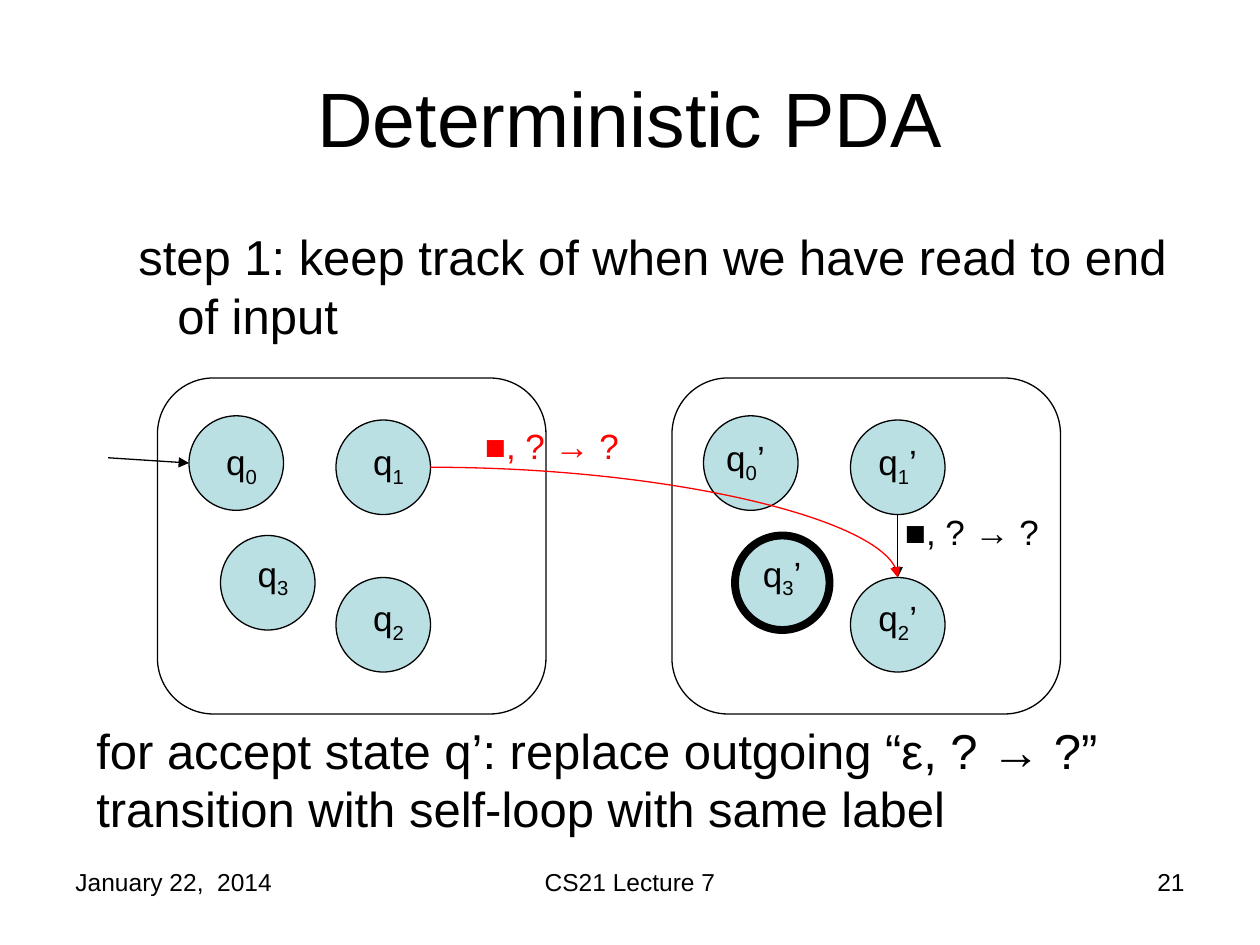
from dataclasses import dataclass

from pptx import Presentation
from pptx.dml.color import RGBColor
from pptx.enum.shapes import MSO_CONNECTOR, MSO_SHAPE
from pptx.enum.text import MSO_ANCHOR, PP_ALIGN
from pptx.oxml.ns import qn
from pptx.oxml.xmlchemy import OxmlElement
from pptx.util import Inches, Pt


@dataclass(frozen=True)
class Theme:
    """Colours, type sizes in points and line widths of the lecture slide."""

    font: str = "Arial"
    ink: str = "000000"
    accent: str = "FF0000"
    state: str = "BBE0E3"
    title: int = 44
    body: int = 28
    label: int = 20
    footer: int = 14
    thin: float = 0.75
    thick: float = 4.5


class Slide:
    """Places elements on a grid of 120 columns by 90 rows."""

    columns, rows = 120, 90

    def __init__(self, deck, theme):
        """Start a blank slide in the given deck."""
        self.theme = theme
        self.slide = deck.slides.add_slide(deck.slide_layouts[6])
        self.column = deck.slide_width / self.columns
        self.row = deck.slide_height / self.rows

    def place(self, left, top, width, height):
        """Turn grid units into lengths."""
        return (round(left * self.column), round(top * self.row),
                round(width * self.column), round(height * self.row))

    def text(self, area, words, size, color=None, align=PP_ALIGN.LEFT,
             anchor=MSO_ANCHOR.TOP, indent=None, spacing=None):
        """Add text; words is a string or (string, is_subscript) pairs."""
        frame = self.slide.shapes.add_textbox(*self.place(*area)).text_frame
        for name, value in {"word_wrap": True, "vertical_anchor": anchor}.items():
            setattr(frame, name, value)
        paragraph = frame.paragraphs[0]
        for name, value in {"alignment": align, "line_spacing": spacing}.items():
            setattr(paragraph, name, value)
        if indent:
            margin, first = indent
            properties = paragraph._p.get_or_add_pPr()
            properties.set("marL", str(Inches(margin)))
            properties.set("indent", str(Inches(first)))
        style = {"name": self.theme.font, "size": Pt(size)}
        for part, subscript in [(words, False)] if isinstance(words, str) else words:
            run = paragraph.add_run()
            run.text = part
            for name, value in style.items():
                setattr(run.font, name, value)
            run.font.color.rgb = RGBColor.from_string(color or self.theme.ink)
            if subscript:
                run._r.get_or_add_rPr().set("baseline", "-25000")

    def outline(self, preset, area, fill=None, weight=None):
        """Add a preset shape with a dark outline."""
        shape = self.slide.shapes.add_shape(preset, *self.place(*area))
        shape.shadow.inherit = False
        if fill:
            shape.fill.solid()
            shape.fill.fore_color.rgb = RGBColor.from_string(fill)
        else:
            shape.fill.background()
        shape.line.color.rgb = RGBColor.from_string(self.theme.ink)
        shape.line.width = Pt(weight or self.theme.thin)

    def state(self, left, top, accepting=False):
        """Add a state circle."""
        weight = self.theme.thick if accepting else self.theme.thin
        self.outline(MSO_SHAPE.OVAL, (left, top, 9, 9), self.theme.state, weight)

    def state_name(self, area, index, mark):
        """Add the name of a state with its subscript."""
        parts = [("q", False), (index, True)] + ([(mark, False)] if mark else [])
        self.text(area, parts, self.theme.label, align=PP_ALIGN.CENTER)

    def arrow(self, start, end, color=None, curved=False):
        """Add a transition arrow, straight or bent through a quarter curve."""
        kind = MSO_CONNECTOR.CURVE if curved else MSO_CONNECTOR.STRAIGHT
        link = self.slide.shapes.add_connector(
            kind, *self.place(*start, *end))
        link.line.color.rgb = RGBColor.from_string(color or self.theme.ink)
        link.line.width = Pt(self.theme.thin)
        head = OxmlElement("a:tailEnd")
        head.set("type", "triangle")
        link.line._get_or_add_ln().append(head)
        properties = link._element.spPr
        properties.append(OxmlElement("a:effectLst"))
        if curved:
            properties.find(qn("a:prstGeom")).set("prst", "curvedConnector2")


def main():
    """Build the slide and save it."""
    deck = Presentation()
    deck.slide_width, deck.slide_height = Inches(10), Inches(7.5)
    theme = Theme()
    page = Slide(deck, theme)

    footers = [(6, 28, "January 22,  2014", PP_ALIGN.LEFT),
               (41, 38, "CS21 Lecture 7", PP_ALIGN.CENTER),
               (86, 28, "21", PP_ALIGN.RIGHT)]
    for left, width, words, align in footers:
        page.text((left, 82, width, 6.2), words, theme.footer, align=align)
    page.text((6, 3.6, 108, 15), "Deterministic PDA", theme.title,
              align=PP_ALIGN.CENTER, anchor=MSO_ANCHOR.MIDDLE)
    page.text((6, 21, 108, 14), "step 1: keep track of when we have read to end of input",
              theme.body, indent=(0.81, -0.31))

    first, second = 15, 64
    circles = {"0": (3, 39.6), "3": (6, 51), "1": (17, 40), "2": (17, 55)}
    names = {
        first: {"0": (5, 41.4, 6), "1": (19, 41.4, 6),
                "3": (8, 52, 6), "2": (19, 56.2, 6)},
        second: {"0": (3, 41, 8), "1": (18, 41.4, 7),
                 "3": (7, 52, 7), "2": (17, 56.2, 9)},
    }
    for origin, mark in ((first, ""), (second, "’")):
        page.outline(MSO_SHAPE.ROUNDED_RECTANGLE, (origin, 36, 37, 32))
        for index, (left, top) in circles.items():
            page.state(origin + left, top, accepting=bool(mark) and index == "3")
        for index, (left, top, width) in names[origin].items():
            page.state_name((origin + left, top, width, 5.8), index, mark)

    page.arrow((10.3, 43.6), (18, 44.1))
    page.arrow((85.5, 49), (85.5, 55))
    page.arrow((41, 44.5), (85.5, 55), theme.accent, curved=True)
    for left, top, color in ((45, 39.8, theme.accent), (85, 48, theme.ink)):
        page.text((left, top, 17, 5.3), "■, ? → ?", theme.label, color)

    page.text((8, 68, 103, 12.5), "for accept state q’: replace outgoing “ε, ? → ?” "
              "transition with self-loop with same label", theme.body)
    deck.save("out.pptx")


if __name__ == "__main__":
    main()
